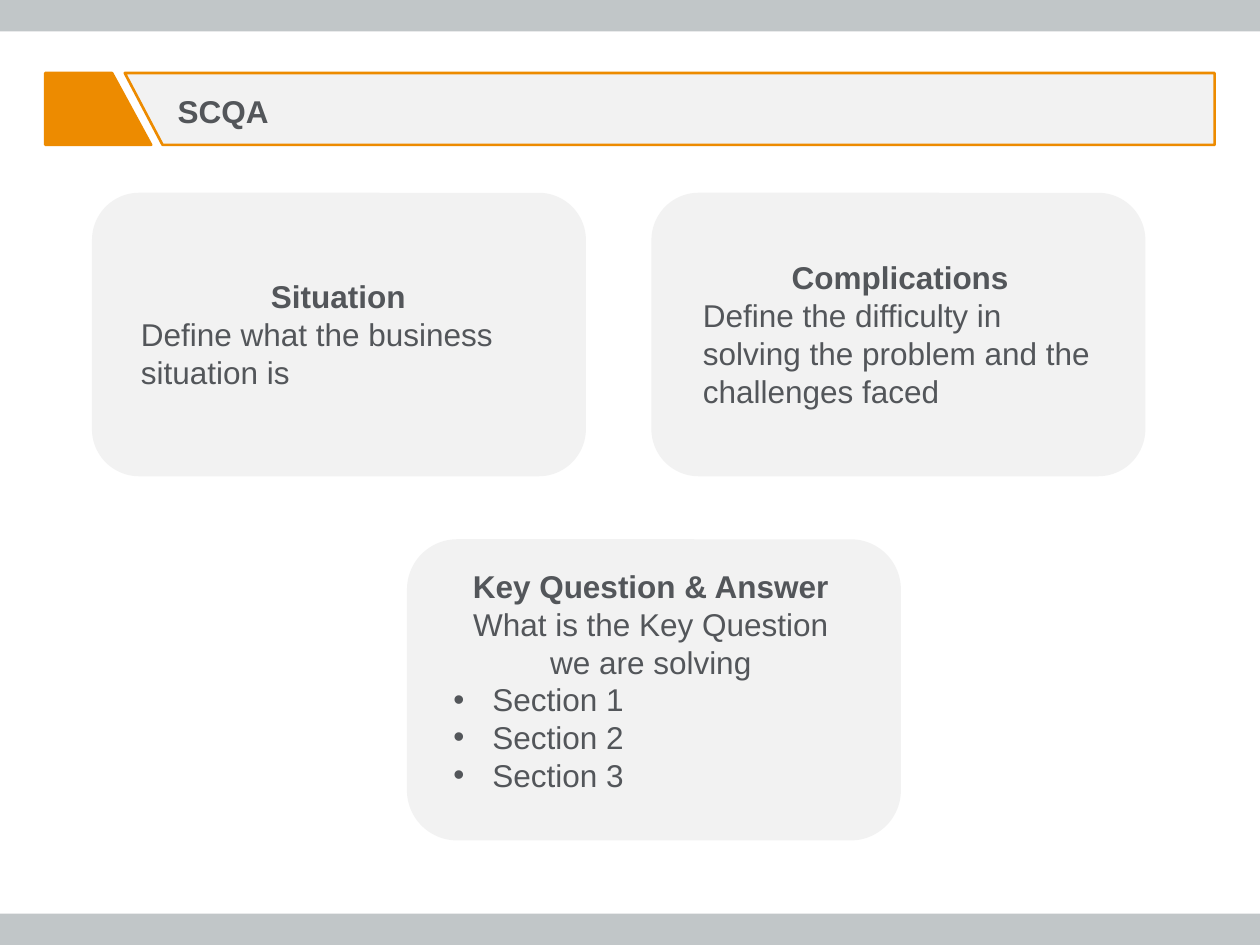
import pptx
import pptx.dml.color
import pptx.enum.shapes
import pptx.enum.text
import pptx.oxml
import pptx.oxml.ns
import pptx.util

Inches, Pt = pptx.util.Inches, pptx.util.Pt
RGBColor = pptx.dml.color.RGBColor
SHAPES = pptx.enum.shapes.MSO_SHAPE
ANCHOR = pptx.enum.text.MSO_ANCHOR
ALIGN = pptx.enum.text.PP_ALIGN

GREY = RGBColor(0xC1, 0xC6, 0xC8)
PALE = RGBColor(0xF2, 0xF2, 0xF2)
ORANGE = RGBColor(0xED, 0x8B, 0x00)
INK = RGBColor(0x53, 0x56, 0x5A)

WIDTH, HEIGHT, BAR = 10, 7.5, 0.25
CARD_WIDTH, TEXT_WIDTH = 3.92, 3.33
INDENT = 0.31
TITLE = "SCQA"

# Card: left, top, height; text: left, top, height; lines: (style, wording)
CARDS = [
    ((0.73, 1.53, 2.25), (1.02, 2.15, 1.01), [
        ("heading", "Situation"),
        ("left", "Define what the business situation is")]),
    ((5.17, 1.53, 2.25), (5.48, 2, 1.31), [
        ("heading", "Complications"),
        ("left", "Define the difficulty in solving the problem and the challenges faced")]),
    ((3.23, 4.28, 2.39), (3.5, 4.45, 1.92), [
        ("heading", "Key Question & Answer"),
        ("center", "What is the Key Question we are solving"),
        ("bullet", "Section 1"),
        ("bullet", "Section 2"),
        ("bullet", "Section 3")]),
]

BANNER_TOP, BANNER_BOTTOM = 0.58, 1.15
# Fill, then upper left, upper right, lower right and lower left x
BANNER = [
    (ORANGE, (0.36, 0.89, 1.2, 0.36)),
    (PALE, (0.99, 9.64, 9.64, 1.29)),
]


def paint(shape, fill, line=None):
    """Give a shape a flat fill and an optional outline."""
    shape.shadow.inherit = False
    shape.fill.solid()
    shape.fill.fore_color.rgb = fill
    if line is None:
        shape.line.fill.background()
    else:
        shape.line.color.rgb = line
        shape.line.width = Pt(1.5)


def add_block(page, kind, left, top, width, height, fill):
    """Add a filled preset shape measured in inches."""
    shape = page.shapes.add_shape(kind, *map(Inches, (left, top, width, height)))
    paint(shape, fill)


def add_banner_part(page, fill, corners):
    """Add one slanted part of the title banner."""
    levels = (BANNER_TOP, BANNER_TOP, BANNER_BOTTOM, BANNER_BOTTOM)
    points = [(Inches(x), Inches(y)) for x, y in zip(corners, levels)]
    builder = page.shapes.build_freeform(*points[0])
    builder.add_line_segments(points[1:], close=True)
    paint(builder.convert_to_shape(), fill, ORANGE)


def format_paragraph(paragraph, style):
    """Set font, alignment and bullet for a style name."""
    centered = style in ("heading", "center")
    paragraph.alignment = ALIGN.CENTER if centered else ALIGN.LEFT
    for span in paragraph.runs:
        span.font.name = "Arial"
        span.font.size = Pt(18)
        span.font.bold = style in ("heading", "title")
        span.font.color.rgb = INK
    if style == "bullet":
        properties = paragraph._p.get_or_add_pPr()
        properties.set("marL", str(Inches(INDENT)))
        properties.set("indent", str(-Inches(INDENT)))
        properties.append(pptx.oxml.parse_xml(
            '<a:buFont %s typeface="Arial"/>' % pptx.oxml.ns.nsdecls("a")))
        properties.append(pptx.oxml.parse_xml(
            '<a:buChar %s char="\u2022"/>' % pptx.oxml.ns.nsdecls("a")))


def add_card_text(page, left, top, height, lines):
    """Add the wording of one card."""
    box = page.shapes.add_textbox(*map(Inches, (left, top, TEXT_WIDTH, height)))
    frame = box.text_frame
    frame.word_wrap = True
    frame.text = "\n".join(wording for _, wording in lines)
    for paragraph, (style, _) in zip(frame.paragraphs, lines):
        format_paragraph(paragraph, style)


def place_title(page):
    """Put the title placeholder in front of the banner."""
    title = page.shapes.title
    title.left, title.top, title.width, title.height = map(
        Inches, (1.31, 0.68, 0.93, 0.4))
    frame = title.text_frame
    frame.text = TITLE
    frame.word_wrap = False
    frame.auto_size = pptx.enum.text.MSO_AUTO_SIZE.NONE
    frame.vertical_anchor = ANCHOR.MIDDLE
    format_paragraph(frame.paragraphs[0], "title")
    title.element.getparent().append(title.element)


deck = pptx.Presentation()
deck.slide_width, deck.slide_height = Inches(WIDTH), Inches(HEIGHT)
page = deck.slides.add_slide(deck.slide_layouts.get_by_name("Title Only"))

for bar_top in (0, HEIGHT - BAR):
    add_block(page, SHAPES.RECTANGLE, 0, bar_top, WIDTH, BAR, GREY)
for (left, top, height), text_place, lines in CARDS:
    add_block(page, SHAPES.ROUNDED_RECTANGLE, left, top, CARD_WIDTH, height, PALE)
    add_card_text(page, *text_place, lines)
for fill, corners in BANNER:
    add_banner_part(page, fill, corners)
place_title(page)

deck.save("out.pptx")
